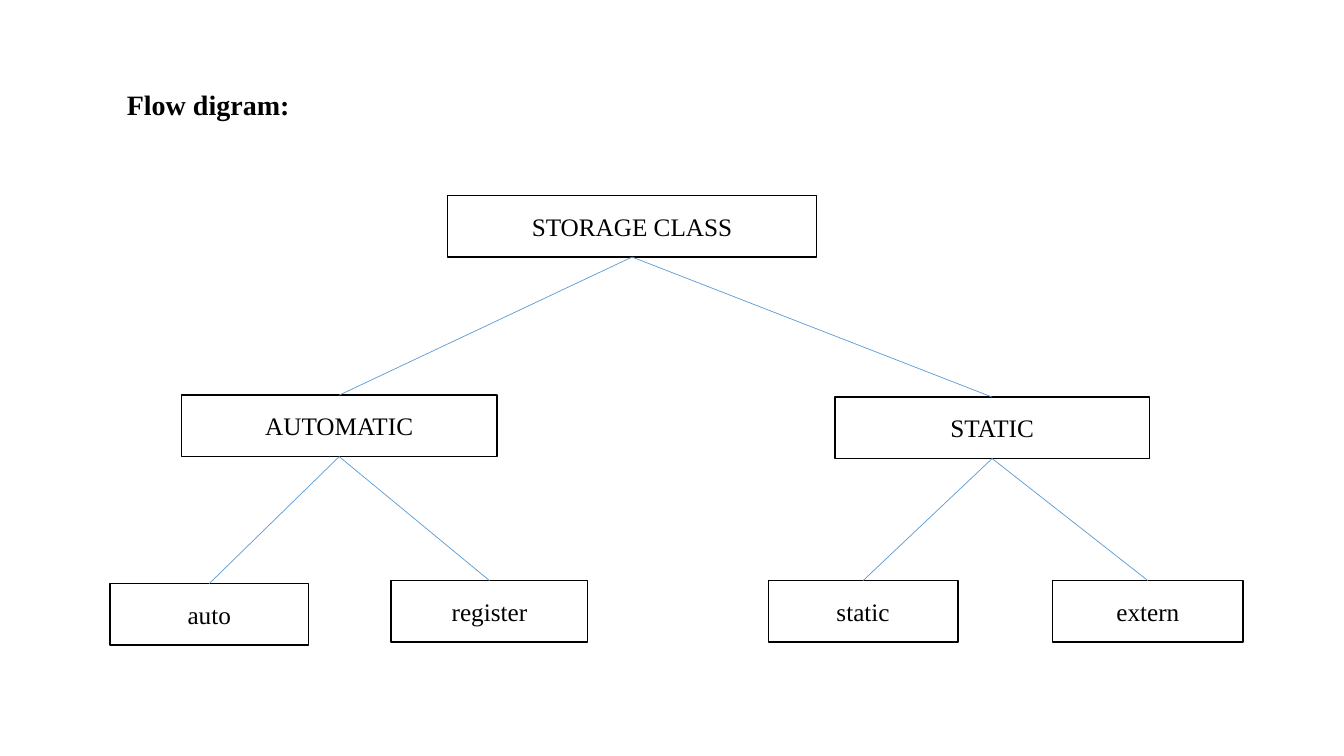
"""Build a slide with a tree diagram of storage classes."""
from lxml import etree
from pptx import Presentation
from pptx.dml.color import RGBColor
from pptx.enum.shapes import MSO_CONNECTOR, MSO_SHAPE
from pptx.enum.text import MSO_ANCHOR, MSO_AUTO_SIZE, PP_ALIGN
from pptx.oxml.ns import qn
from pptx.util import Inches, Pt

RECTANGLE = MSO_SHAPE.RECTANGLE
STRAIGHT = MSO_CONNECTOR.STRAIGHT
MIDDLE = MSO_ANCHOR.MIDDLE
CENTER = PP_ALIGN.CENTER
GROW = MSO_AUTO_SIZE.SHAPE_TO_FIT_TEXT
TOP_SIDE, BOTTOM_SIDE = 0, 2

FONT = "Times New Roman"
COLORS = {"box": "FFFFFF", "ink": "000000", "branch": "5B9BD5"}

# Lengths are percentages of the slide's width or height.
TITLE = ("Flow digram:", 8.7, 10.93, 16.58, 5.87)
BOX_HEIGHT = 8.13
NODES = [
    # name, parent, centre, top, width
    ("STORAGE CLASS", None, 47.03, 25.87, 27.45),
    ("AUTOMATIC", "STORAGE CLASS", 25.24, 52.27, 23.48),
    ("STATIC", "STORAGE CLASS", 73.82, 52.53, 23.4),
    ("auto", "AUTOMATIC", 15.57, 77.2, 14.78),
    ("register", "AUTOMATIC", 36.42, 76.8, 14.63),
    ("static", "STATIC", 64.22, 76.8, 14.1),
    ("extern", "STATIC", 85.41, 76.8, 14.18),
]

presentation = Presentation()
presentation.slide_width = Inches(13.33)
presentation.slide_height = Inches(7.5)
slide = presentation.slides.add_slide(presentation.slide_layouts[6])


def color(name):
    return RGBColor.from_string(COLORS[name])


def across(percent):
    return round(presentation.slide_width * percent / 100)


def down(percent):
    return round(presentation.slide_height * percent / 100)


def write(shape, text, size, bold=False):
    shape.text_frame.text = text
    paragraph = shape.text_frame.paragraphs[0]
    font = paragraph.runs[0].font
    font.name, font.size, font.bold = FONT, Pt(size), bold
    font.color.rgb = color("ink")
    return paragraph


def add_box(name, center, top, width):
    box = slide.shapes.add_shape(
        RECTANGLE, across(center - width / 2), down(top), across(width), down(BOX_HEIGHT))
    box.shadow.inherit = False
    box.fill.solid()
    box.fill.fore_color.rgb = color("box")
    box.line.color.rgb = color("ink")
    box.line.width = Pt(1)
    box.text_frame.vertical_anchor = MIDDLE
    write(box, name, 18).alignment = CENTER
    return box


def add_branch(parent, child):
    branch = slide.shapes.add_connector(STRAIGHT, 0, 0, 0, 0)
    branch.begin_connect(parent, BOTTOM_SIDE)
    branch.end_connect(child, TOP_SIDE)
    branch.line.color.rgb = color("branch")
    branch.line.width = Pt(0.5)
    etree.SubElement(branch._element.spPr, qn("a:effectLst"))


boxes = {name: add_box(name, *place) for name, parent, *place in NODES}
for name, parent, *place in NODES:
    if parent:
        add_branch(boxes[parent], boxes[name])

title, left, top, width, height = TITLE
heading = slide.shapes.add_textbox(across(left), down(top), across(width), down(height))
heading.text_frame.word_wrap = True
heading.text_frame.auto_size = GROW
write(heading, title, 20, bold=True)

presentation.save("out.pptx")
